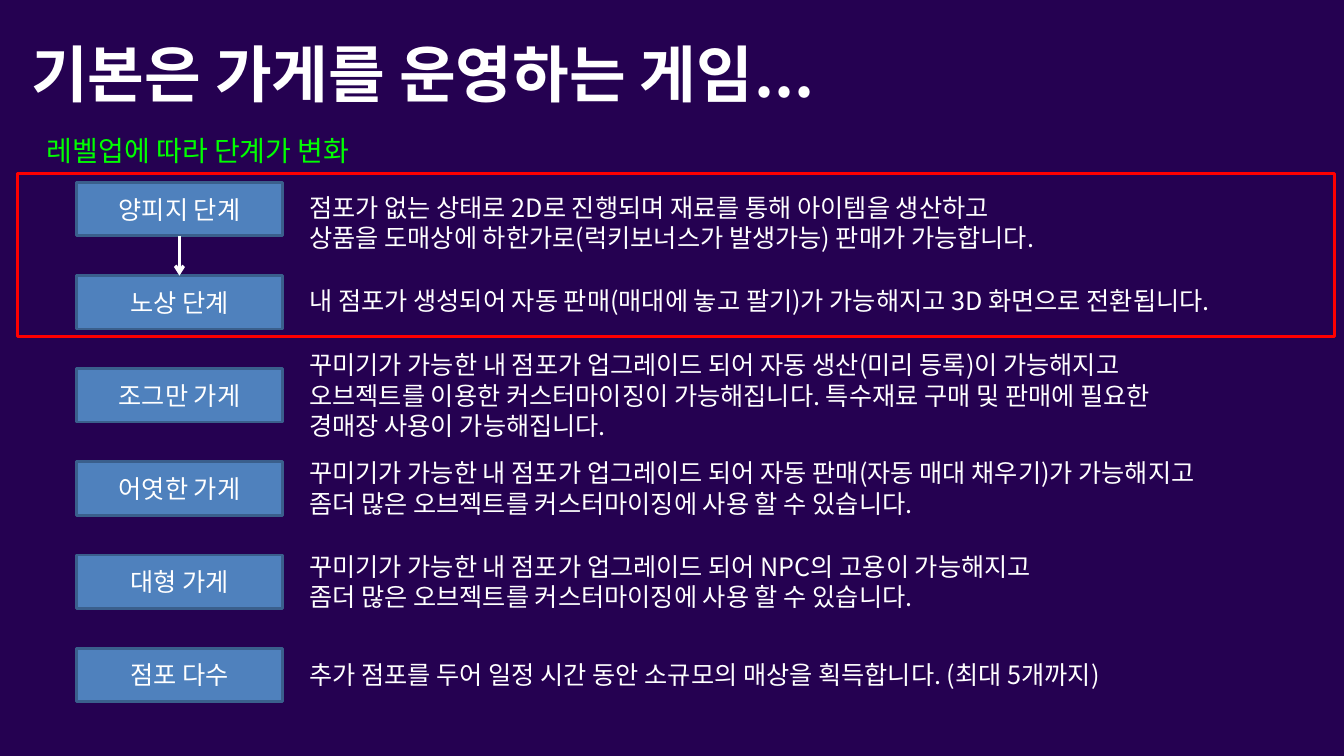
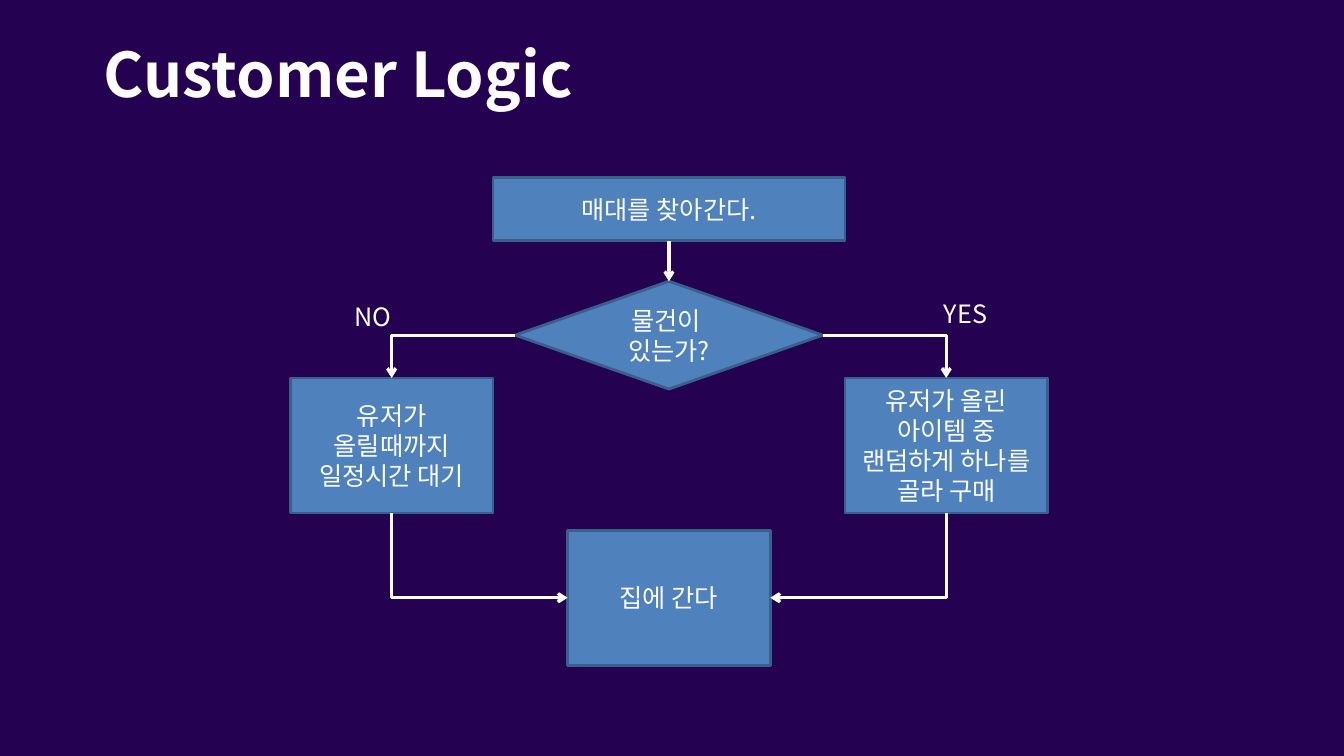
import pptx
import pptx.util
import pptx.dml.color
import pptx.enum.shapes
import pptx.enum.text
import pptx.oxml.ns
import lxml.etree

Inches = pptx.util.Inches
Pt = pptx.util.Pt
RGBColor = pptx.dml.color.RGBColor
SHAPE = pptx.enum.shapes.MSO_SHAPE
CONNECTOR = pptx.enum.shapes.MSO_CONNECTOR
ALIGN = pptx.enum.text.PP_ALIGN
ANCHOR = pptx.enum.text.MSO_ANCHOR
AUTO_SIZE = pptx.enum.text.MSO_AUTO_SIZE
qn = pptx.oxml.ns.qn

NIGHT = RGBColor(0x25, 0x01, 0x51)
BLUE = RGBColor(0x4F, 0x81, 0xBD)
EDGE = RGBColor(0x3A, 0x5F, 0x8C)
WHITE = RGBColor(0xFF, 0xFF, 0xFF)
GREEN = RGBColor(0x00, 0xFF, 0x00)
RED = RGBColor(0xFF, 0x00, 0x00)
FONT = "Noto Sans CJK KR"
TOP, LEFT, BOTTOM, RIGHT = range(4)


def write(box, lines, size=18, color=WHITE, bold=False, align=ALIGN.LEFT, wrap=True):
    frame = box.text_frame
    frame.word_wrap = wrap
    frame.auto_size = AUTO_SIZE.NONE if wrap else AUTO_SIZE.SHAPE_TO_FIT_TEXT
    if wrap:
        frame.vertical_anchor = ANCHOR.MIDDLE
    for index, line in enumerate(lines):
        para = frame.paragraphs[0] if index == 0 else frame.add_paragraph()
        para.alignment = align
        span = para.add_run()
        span.text = line
        span.font.size = Pt(size)
        span.font.bold = bold
        span.font.name = FONT
        span.font.color.rgb = color
        east_asian = lxml.etree.SubElement(span.font._element, qn("a:ea"))
        east_asian.set("typeface", FONT)


def connect(page, start, start_side, end, end_side):
    straight = start_side == BOTTOM and end_side == TOP
    kind = CONNECTOR.STRAIGHT if straight else CONNECTOR.ELBOW
    arrow = page.shapes.add_connector(kind, 0, 0, 0, 0)
    arrow.begin_connect(start, start_side)
    arrow.end_connect(end, end_side)
    arrow.line.color.rgb = WHITE
    arrow.line.width = Pt(2.25)
    properties = arrow.element.spPr
    line = properties.find(qn("a:ln"))
    lxml.etree.SubElement(line, qn("a:tailEnd")).set("type", "arrow")
    lxml.etree.SubElement(properties, qn("a:effectLst"))
    if not straight:
        properties.find(qn("a:prstGeom")).set("prst", "bentConnector2")
    if not straight and start_side == BOTTOM:
        rightward = arrow.end_x > arrow.begin_x
        width, height = arrow.width, arrow.height
        arrow.left += (width - height) // 2
        arrow.top += (height - width) // 2
        arrow.width, arrow.height = height, width
        frame = properties.find(qn("a:xfrm"))
        frame.set("rot", str((270 if rightward else 90) * 60000))
        frame.set("flipH", "1" if rightward else "0")


deck = pptx.Presentation()
deck.slide_width = Inches(13.33)
deck.slide_height = Inches(7.5)
background = deck.slide_master.background.fill
background.solid()
background.fore_color.rgb = NIGHT

pages = []
for title, left in [("기본은 가게를 운영하는 게임...", 0.21), ("Customer Logic", 0.93)]:
    page = deck.slides.add_slide(deck.slide_layouts[5])
    heading = page.shapes.title
    heading.left, heading.top = Inches(left), Inches(0)
    heading.width, heading.height = Inches(11.5), Inches(1.45)
    write(heading, [title], 44, bold=True)
    pages.append(page)
stages_page, logic_page = pages

stages = [
    ("양피지 단계", 1.86, 8.2, 0.71, [
        "점포가 없는 상태로 2D로 진행되며 재료를 통해 아이템을 생산하고",
        "상품을 도매상에 하한가로(럭키보너스가 발생가능) 판매가 가능합니다."]),
    ("노상 단계", 2.78, 10.12, 0.4, [
        "내 점포가 생성되어 자동 판매(매대에 놓고 팔기)가 가능해지고 3D 화면으로 전환됩니다."]),
    ("조그만 가게", 3.42, 9.55, 0.99, [
        "꾸미기가 가능한 내 점포가 업그레이드 되어 자동 생산(미리 등록)이 가능해지고",
        "오브젝트를 이용한 커스터마이징이 가능해집니다. 특수재료 구매 및 판매에 필요한",
        "경매장 사용이 가능해집니다."]),
    ("어엿한 가게", 4.49, 10, 0.71, [
        "꾸미기가 가능한 내 점포가 업그레이드 되어 자동 판매(자동 매대 채우기)가 가능해지고",
        "좀더 많은 오브젝트를 커스터마이징에 사용 할 수 있습니다."]),
    ("대형 가게", 5.42, 8.24, 0.7, [
        "꾸미기가 가능한 내 점포가 업그레이드 되어 NPC의 고용이 가능해지고",
        "좀더 많은 오브젝트를 커스터마이징에 사용 할 수 있습니다."]),
    ("점포 다수", 6.49, 8.94, 0.4, [
        "추가 점포를 두어 일정 시간 동안 소규모의 매상을 획득합니다. (최대 5개까지)"]),
]
STAGE_TOP, STAGE_STEP = 1.81, 0.924

nodes = [
    (stages_page, name, SHAPE.RECTANGLE, 0.76, STAGE_TOP + row * STAGE_STEP, 2.04, 0.53, [name])
    for row, (name, *description) in enumerate(stages)
] + [
    (logic_page, "find", SHAPE.RECTANGLE, 4.89, 1.76, 3.49, 0.63, ["매대를 찾아간다."]),
    (logic_page, "stocked", SHAPE.DIAMOND, 5.11, 2.79, 3.05, 1.07, ["물건이 ", "있는가?"]),
    (logic_page, "wait", SHAPE.RECTANGLE, 2.88, 3.75, 2.01, 1.34, ["유저가 올릴때까지 일정시간 대기"]),
    (logic_page, "buy", SHAPE.RECTANGLE, 8.38, 3.75, 2.01, 1.34,
     ["유저가 올린 아이템 중 랜덤하게 하나를 골라 구매"]),
    (logic_page, "home", SHAPE.RECTANGLE, 5.63, 5.26, 2.01, 1.34, ["집에 간다"]),
]
boxes = {}
for page, name, kind, left, top, width, height, lines in nodes:
    box = page.shapes.add_shape(kind, Inches(left), Inches(top), Inches(width), Inches(height))
    box.shadow.inherit = False
    box.fill.solid()
    box.fill.fore_color.rgb = BLUE
    box.line.color.rgb = EDGE
    box.line.width = Pt(2)
    write(box, lines, align=ALIGN.CENTER)
    boxes[name] = box

for name, top, width, height, lines in stages:
    box = stages_page.shapes.add_textbox(Inches(2.97), Inches(top), Inches(width), Inches(height))
    write(box, lines, wrap=False)

subtitle = stages_page.shapes.add_textbox(Inches(0.19), Inches(1.28), Inches(3.55), Inches(0.44))
write(subtitle, ["레벨업에 따라 단계가 변화"], 20, GREEN, align=ALIGN.CENTER, wrap=False)

highlight = stages_page.shapes.add_shape(
    SHAPE.RECTANGLE, Inches(0.17), Inches(1.72), Inches(13.07), Inches(1.62))
highlight.shadow.inherit = False
highlight.fill.background()
highlight.line.color.rgb = RED
highlight.line.width = Pt(2)

for answer, left, top in [("NO", 3.04, 2.93), ("YES", 8.92, 2.9)]:
    box = logic_page.shapes.add_textbox(Inches(left), Inches(top), Inches(1.31), Inches(0.41))
    write(box, [answer], align=ALIGN.CENTER)

for page, start, start_side, end, end_side in [
    (stages_page, "양피지 단계", BOTTOM, "노상 단계", TOP),
    (logic_page, "find", BOTTOM, "stocked", TOP),
    (logic_page, "stocked", LEFT, "wait", TOP),
    (logic_page, "stocked", RIGHT, "buy", TOP),
    (logic_page, "wait", BOTTOM, "home", LEFT),
    (logic_page, "buy", BOTTOM, "home", RIGHT),
]:
    connect(page, boxes[start], start_side, boxes[end], end_side)

deck.save("out.pptx")
